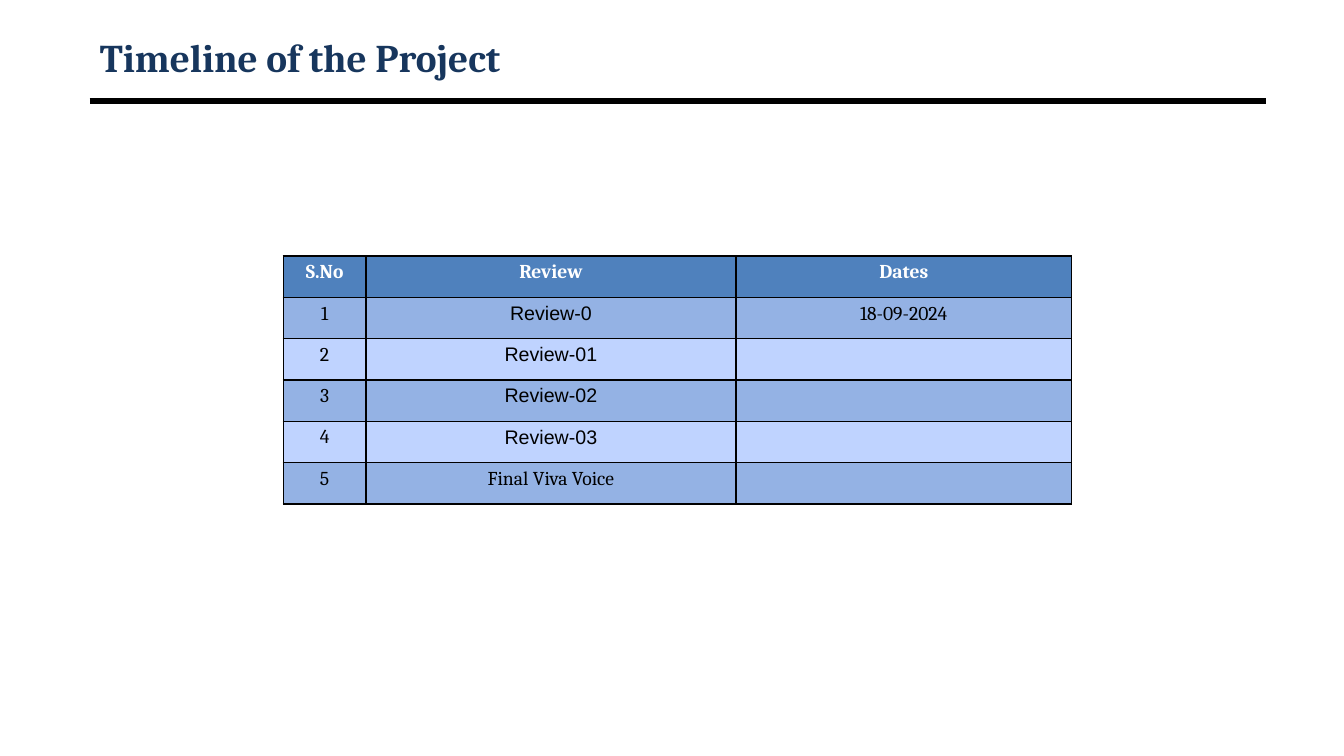
from lxml import etree
from pptx import Presentation
from pptx.dml.color import RGBColor
from pptx.enum.shapes import MSO_CONNECTOR
from pptx.enum.text import MSO_ANCHOR, PP_ALIGN
from pptx.oxml.ns import qn
from pptx.util import Inches, Pt

STRAIGHT = MSO_CONNECTOR.STRAIGHT
CENTER, LEFT = PP_ALIGN.CENTER, PP_ALIGN.LEFT
MIDDLE = MSO_ANCHOR.MIDDLE

MARGIN, CONTENT_WIDTH = 0.89, 11.67
HEADER_FILL, BAND_FILLS = "4F81BD", ("94B2E4", "BFD3FF")
COLUMN_WIDTHS = (0.82, 3.67, 3.33)
ROW_HEIGHT = 0.41
REVIEWS = [
    ("S.No", "Review", "Dates"),
    ("1", "Review-0", "18-09-2024"),
    ("2", "Review-01", ""),
    ("3", "Review-02", ""),
    ("4", "Review-03", ""),
    ("5", "Final Viva Voice", ""),
]


def color(value):
    return RGBColor.from_string(value)


def format_para(para, size, font_color, bold, align, name="Cambria"):
    para.alignment = align
    para.font.name = name
    para.font.size = Pt(size)
    para.font.bold = bold
    para.font.color.rgb = color(font_color)


def add_title(page, text):
    title = page.shapes.title
    title.left, title.top = Inches(MARGIN), Inches(0.3)
    title.width, title.height = Inches(CONTENT_WIDTH), Inches(0.53)
    title.text_frame.text = text
    title.text_frame.vertical_anchor = MIDDLE
    format_para(title.text_frame.paragraphs[0], 28, "17365D", True, LEFT)


def add_rule(page, top):
    rule = page.shapes.add_connector(
        STRAIGHT, Inches(MARGIN), Inches(top),
        Inches(MARGIN + CONTENT_WIDTH), Inches(top))
    rule.line.color.rgb = color("000000")
    rule.line.width = Pt(4.5)
    etree.SubElement(rule._element.spPr, qn("a:effectLst"))


def add_borders(cell):
    """Draw a thin black line on all four sides, ahead of the cell's fill."""
    properties = cell._tc.get_or_add_tcPr()
    for position, side in enumerate(("a:lnL", "a:lnR", "a:lnT", "a:lnB")):
        line = etree.Element(qn(side), w=str(Pt(1)))
        fill = etree.SubElement(line, qn("a:solidFill"))
        etree.SubElement(fill, qn("a:srgbClr"), val="000000")
        properties.insert(position, line)


def format_cell(cell, text, row):
    header = row == 0
    cell.text = text
    cell.fill.solid()
    cell.fill.fore_color.rgb = color(
        HEADER_FILL if header else BAND_FILLS[(row - 1) % 2])
    add_borders(cell)
    format_para(cell.text_frame.paragraphs[0], 14,
                "FFFFFF" if header else "000000", header, CENTER,
                "Arial" if text.startswith("Review-") else "Cambria")


def add_review_table(page, left, top):
    table = page.shapes.add_table(
        len(REVIEWS), len(COLUMN_WIDTHS), Inches(left), Inches(top),
        Inches(sum(COLUMN_WIDTHS)), Inches(ROW_HEIGHT * len(REVIEWS))).table
    for column, width in zip(table.columns, COLUMN_WIDTHS):
        column.width = Inches(width)
    for row, texts in enumerate(REVIEWS):
        table.rows[row].height = Inches(ROW_HEIGHT)
        for column, text in enumerate(texts):
            format_cell(table.cell(row, column), text, row)


def main():
    deck = Presentation()
    deck.slide_width, deck.slide_height = Inches(13.33), Inches(7.5)
    page = deck.slides.add_slide(deck.slide_layouts[5])
    add_rule(page, 1)
    add_title(page, "Timeline of the Project")
    add_review_table(page, 2.81, 2.54)
    deck.save("out.pptx")


if __name__ == "__main__":
    main()
